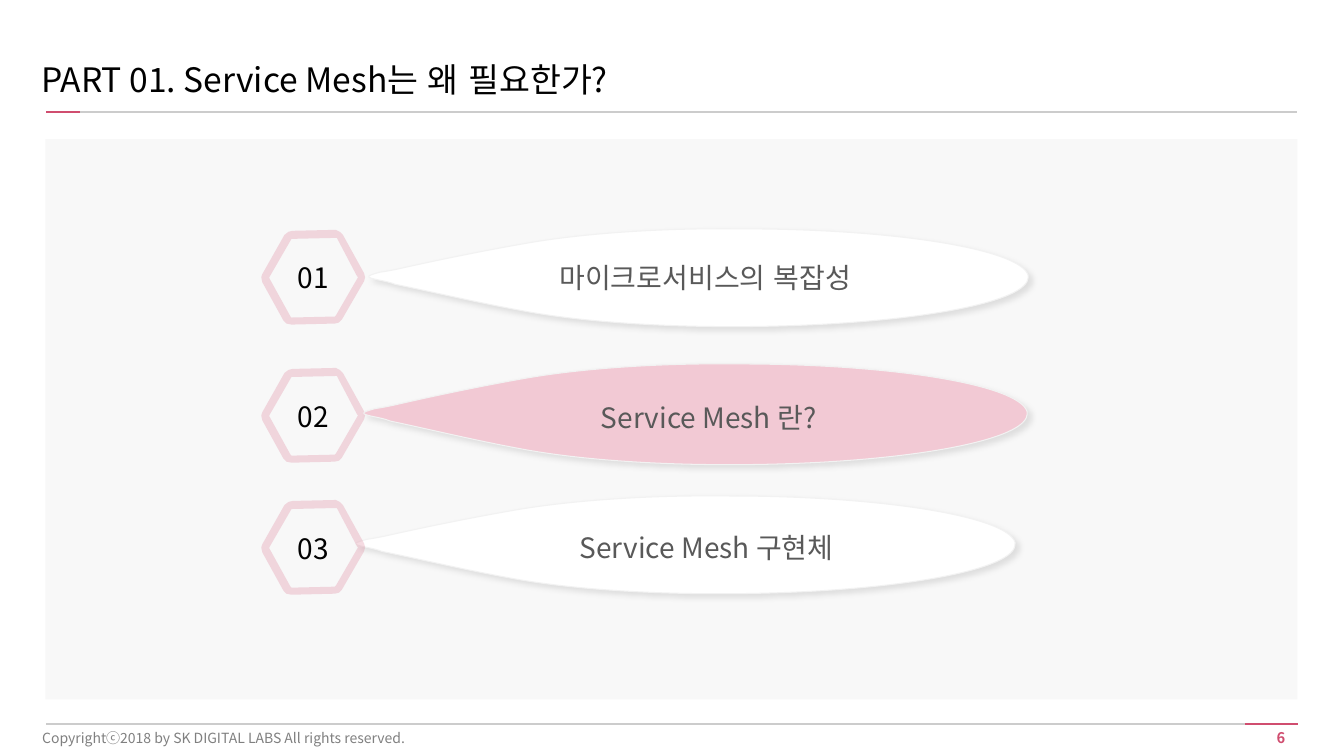
import math

from lxml import etree
from pptx import Presentation
from pptx.dml.color import RGBColor
from pptx.enum.shapes import MSO_CONNECTOR, MSO_SHAPE
from pptx.enum.text import MSO_ANCHOR, MSO_AUTO_SIZE, PP_ALIGN
from pptx.oxml.ns import qn
from pptx.util import Pt

PX = 9144  # 100 px to the inch
JP, KR = "Noto Sans CJK JP", "Noto Sans CJK KR"
ACCENT, RULE, PANEL, EDGE = "D04D6F", "CCCCCC", "F8F8F8", "F2F2F2"
BLACK, WHITE, PINK, LABEL, MUTED = "000000", "FFFFFF", "F2C9D4", "595959", "808080"
LEFT, CENTER, RIGHT = PP_ALIGN.LEFT, PP_ALIGN.CENTER, PP_ALIGN.RIGHT
TOP, MIDDLE = MSO_ANCHOR.TOP, MSO_ANCHOR.MIDDLE
NO_FIT = MSO_AUTO_SIZE.NONE
RECT, STRAIGHT = MSO_SHAPE.RECTANGLE, MSO_CONNECTOR.STRAIGHT

HEX_SIZE, HEX_TURN = (103, 94), 30
HEX_OUTER = [(74, 0), (31, 1), (27, 2), (23, 5), (1, 44), (0, 47), (1, 52), (22, 90), (25, 93),
             (30, 94), (73, 93), (77, 92), (80, 89), (102, 51), (103, 47), (102, 43), (81, 5), (78, 2)]
HEX_INNER = [(74, 8), (75, 8), (95, 46), (96, 47), (74, 85), (73, 86), (30, 87), (29, 86),
             (8, 48), (8, 47), (30, 9), (31, 9)]
POD_SIZE, POD_TURN = (658, 98), 180
# start point, then two control points and an end point for each curve
POD_POINTS = [(162, 15), (214, 6), (290, 0), (374, 1), (525, 1), (650, 21), (658, 47),
              (658, 49), (658, 51), (657, 53), (645, 78), (519, 98), (364, 98),
              (281, 98), (207, 92), (155, 82), (111, 74), (69, 64), (30, 56),
              (25, 54), (20, 53), (15, 52), (0, 49), (0, 48), (15, 44),
              (22, 43), (27, 42), (32, 41), (72, 32), (116, 23), (162, 15)]

# number, hexagon top, pod box, pod fill, pod behind hexagon, label, label box
ITEMS = [("01", 228, (362, 226, 658, 98), WHITE, False, "마이크로서비스의 복잡성 ", (461, 248, 485, 47)),
         ("02", 365, (357, 360, 662, 101), PINK, False, "Service Mesh 란?", (443, 387, 520, 47)),
         ("03", 496, (349, 491, 658, 98), WHITE, True, "Service Mesh 구현체", (362, 516, 678, 47))]


def rgb(color):
    return RGBColor.from_string(color)


def emu(box):
    return [v * PX for v in box]


def write(sp, text, font, size, color, align=LEFT, anchor=TOP, bold=False, spacing=None, insets=(10, 5, 10, 5)):
    tf = sp.text_frame
    left, top, right, bottom = emu(insets)
    frame = dict(word_wrap=True, auto_size=NO_FIT, vertical_anchor=anchor,
                 margin_left=left, margin_top=top, margin_right=right, margin_bottom=bottom)
    for name, value in frame.items():
        setattr(tf, name, value)
    p = tf.paragraphs[0]
    p.alignment, p.line_spacing = align, spacing
    r = p.add_run()
    r.text = text
    for name, value in dict(name=font, size=Pt(size), bold=bold).items():
        setattr(r.font, name, value)
    r.font.color.rgb = rgb(color)
    r.font._element.set("lang", "ko-KR")
    r.font._element.set("kern", "0")
    etree.SubElement(r.font._element, qn("a:ea"), typeface=font)


def add_text(slide, box, *args, **kwargs):
    write(slide.shapes.add_textbox(*emu(box)), *args, **kwargs)


def add_rule(slide, x1, x2, y, color):
    line = slide.shapes.add_connector(STRAIGHT, *emu((x1, y, x2, y)))
    line.line.color.rgb = rgb(color)
    line.line.width = Pt(1.5)
    etree.SubElement(line._element.spPr, qn("a:effectLst"))


def turn_back(point, size, degrees):
    """Turn a point against the rotation of a shape of the given size."""
    cx, cy = size[0] / 2, size[1] / 2
    x, y = point[0] - cx, point[1] - cy
    cos, sin = math.cos(math.radians(degrees)), math.sin(math.radians(degrees))
    return cx + x * cos + y * sin, cy - x * sin + y * cos


def add_outline(slide, box, loops, turn, fill):
    """Draw closed loops of px points, relative to the box, as one rotated shape."""
    left, top, *size = box
    loops = [[(round((left + x) * PX), round((top + y) * PX))
              for x, y in (turn_back(point, size, turn) for point in loop)] for loop in loops]
    builder = slide.shapes.build_freeform(*loops[0][0])
    builder.add_line_segments(loops[0][1:])
    for loop in loops[1:]:
        builder.move_to(*loop[0])
        builder.add_line_segments(loop[1:])
    sp = builder.convert_to_shape()
    sp.rotation = turn
    sp.shadow.inherit = False
    sp.fill.solid()
    sp.fill.fore_color.rgb = rgb(fill)
    return sp


def curve(sp):
    """Join each three line segments into one cubic curve."""
    lines = list(sp._element.iter(qn("a:lnTo")))
    for first, second, third in zip(lines[::3], lines[1::3], lines[2::3]):
        cubic = etree.Element(qn("a:cubicBezTo"))
        first.addprevious(cubic)
        for line in (first, second, third):
            cubic.append(line[0])
            line.getparent().remove(line)


def add_hexagon(slide, left, top, number):
    sp = add_outline(slide, (left, top, *HEX_SIZE), (HEX_OUTER, HEX_INNER), HEX_TURN, ACCENT)
    sp.line.fill.background()
    color = sp._element.spPr.find(".//" + qn("a:srgbClr"))
    etree.SubElement(color, qn("a:alpha"), val="20000")
    add_text(slide, (left + 1, top + 26, 102, 44), number, KR, 20, BLACK, CENTER)


def add_pod(slide, box, fill):
    sx, sy = box[2] / POD_SIZE[0], box[3] / POD_SIZE[1]
    sp = add_outline(slide, box, [[(x * sx, y * sy) for x, y in POD_POINTS]], POD_TURN, fill)
    curve(sp)
    sp.line.color.rgb = rgb(EDGE)
    sp.line.width = Pt(0.75)
    effects = sp._element.spPr.find(qn("a:effectLst"))
    shadow = etree.SubElement(effects, qn("a:outerShdw"), blurRad=str(Pt(4)), dist=str(Pt(3)),
                              dir="2700000", algn="tl", rotWithShape="0")
    color = etree.SubElement(shadow, qn("a:srgbClr"), val=BLACK)
    etree.SubElement(color, qn("a:alpha"), val="10000")


def add_header(slide, left, right, y):
    add_rule(slide, left, right, y, RULE)
    add_rule(slide, left, left + 33, y, ACCENT)
    title = slide.shapes.title
    title.left, title.top, title.width, title.height = emu((left - 24, y - 53, 900, 46))
    write(title, "PART 01. Service Mesh는 왜 필요한가?", JP, 24, BLACK,
          anchor=MIDDLE, spacing=0.9, insets=(19, 5, 10, 5))


def add_footer(slide, left, right, y):
    add_rule(slide, left, right, y, RULE)
    add_rule(slide, right - 52, right + 1, y, ACCENT)
    add_text(slide, (right - 82, y, 70, 28), "6", JP, 10.5, ACCENT, RIGHT, bold=True, insets=(10, 5, 0, 5))
    add_text(slide, (left - 14, y - 3, 702, 34), "Copyrightⓒ2018 by SK DIGITAL LABS All rights reserved.",
             JP, 10, MUTED, anchor=MIDDLE)


def add_agenda(slide, box):
    panel = slide.shapes.add_shape(RECT, *emu(box))
    panel.shadow.inherit = False
    panel.fill.solid()
    panel.fill.fore_color.rgb = rgb(PANEL)
    panel.line.fill.background()
    for number, top, pod, fill, behind, label, label_box in ITEMS:
        if behind:
            add_pod(slide, pod, fill)
        add_hexagon(slide, box[0] + 214, top, number)
        if not behind:
            add_pod(slide, pod, fill)
        add_text(slide, label_box, label, KR, 20, LABEL, CENTER, spacing=Pt(28))


def main():
    prs = Presentation()
    prs.slide_height = 750 * PX
    prs.slide_width = prs.slide_height * 16 // 9
    slide = prs.slides.add_slide(prs.slide_layouts[5])
    add_header(slide, 46, 1287, 111)
    add_agenda(slide, (45, 138, 1242, 556))
    add_footer(slide, 46, 1287, 718)
    prs.save("out.pptx")


if __name__ == "__main__":
    main()
